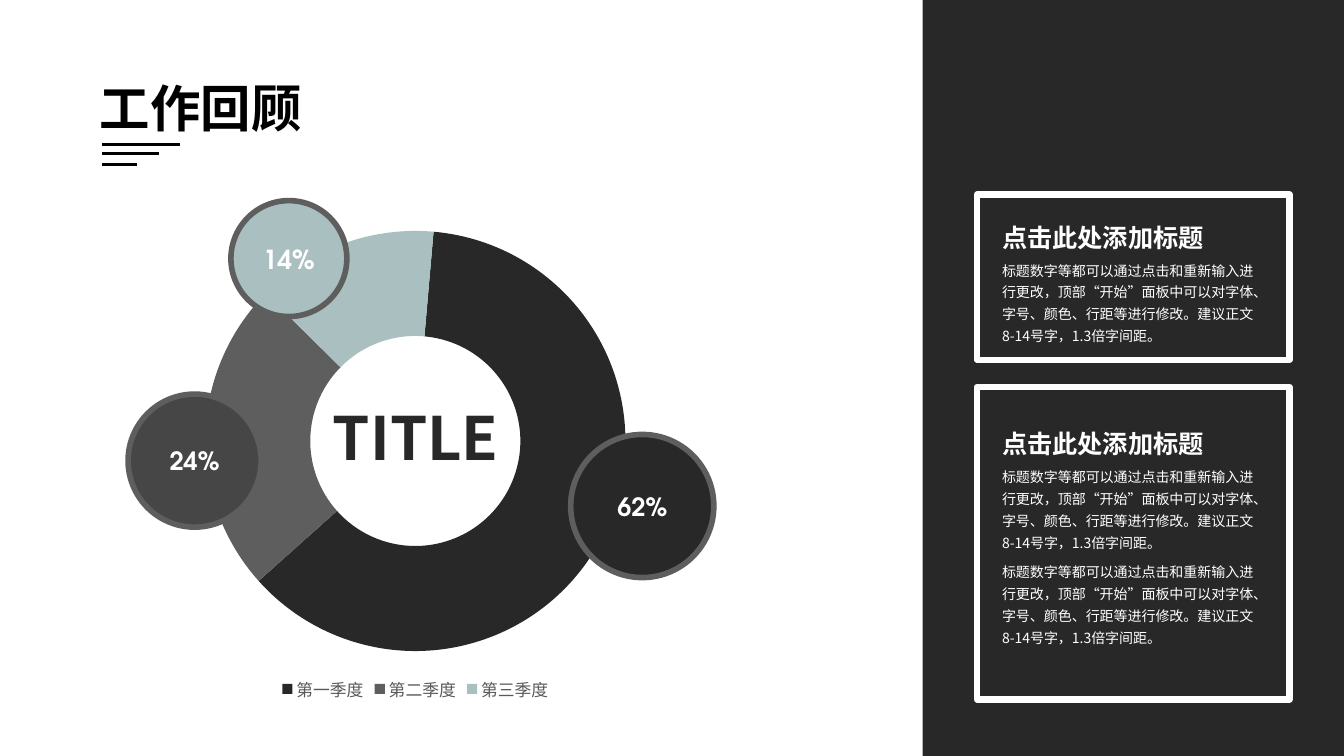
from lxml import etree
from pptx import Presentation
from pptx.chart.data import CategoryChartData
from pptx.dml.color import RGBColor
from pptx.enum.chart import XL_CHART_TYPE, XL_LEGEND_POSITION
from pptx.enum.shapes import MSO_CONNECTOR, MSO_SHAPE
from pptx.enum.text import MSO_ANCHOR, PP_ALIGN
from pptx.oxml import parse_xml
from pptx.oxml.ns import nsdecls, qn
from pptx.util import Inches, Pt

RECT, OVAL = MSO_SHAPE.RECTANGLE, MSO_SHAPE.OVAL
LEFT, CENTER = PP_ALIGN.LEFT, PP_ALIGN.CENTER
BLACK = RGBColor(0x00, 0x00, 0x00)
WHITE = RGBColor(0xFF, 0xFF, 0xFF)
DARK = RGBColor(0x28, 0x28, 0x28)
CHARCOAL = RGBColor(0x46, 0x46, 0x46)
GRAY = RGBColor(0x5E, 0x5E, 0x5E)
LEGEND_GRAY = RGBColor(0x59, 0x59, 0x59)
TEAL = RGBColor(0xAA, 0xBF, 0xC0)
HEAD_FONT, BODY_FONT = "TeX Gyre Adventor", "Noto Sans CJK SC"
HEADING = "点击此处添加标题"
BODY = ("标题数字等都可以通过点击和重新输入进行更改，顶部“开始”面板中可以对字体、"
        "字号、颜色、行距等进行修改。建议正文8-14号字，1.3倍字间距。")


def write(shape, text, size, font, color, bold=True, align=LEFT, spacing=None, wrap=True):
    tf = shape.text_frame
    tf.word_wrap = wrap
    p = tf.paragraphs[0]
    p.alignment = align
    p.line_spacing = spacing
    r = p.add_run()
    r.text = text
    for name, value in {"size": Pt(size), "name": font, "bold": bold}.items():
        setattr(r.font, name, value)
    r.font.color.rgb = color
    ea = etree.SubElement(r.font._element, qn("a:ea"))
    ea.set("typeface", BODY_FONT)


def add_shape(kind, x, y, w, h, fill=None, line=None, width=0):
    sp = s.shapes.add_shape(kind, Inches(x), Inches(y), Inches(w), Inches(h))
    sp.shadow.inherit = False
    if fill is None:
        sp.fill.background()
    else:
        sp.fill.solid()
        sp.fill.fore_color.rgb = fill
    if line is None:
        sp.line.fill.background()
    else:
        sp.line.color.rgb = line
        sp.line.width = Pt(width)
    return sp


prs = Presentation()
prs.slide_width, prs.slide_height = Inches(13.33), Inches(7.5)
s = prs.slides.add_slide(prs.slide_layouts[5])

# Title and its underlines
title = s.shapes.title
title.left, title.top, title.width, title.height = map(Inches, (0.89, 0.78, 3.94, 0.65))
title.text_frame.vertical_anchor = MSO_ANCHOR.TOP
write(title, "工作回顾", 36, HEAD_FONT, BLACK, spacing=0.9)

for y, length in ((1.43, 0.78), (1.52, 0.57), (1.63, 0.35)):
    rule = s.shapes.add_connector(MSO_CONNECTOR.STRAIGHT, Inches(1.01), Inches(y),
                                  Inches(1.01 + length), Inches(y))
    rule.line.color.rgb = BLACK
    rule.line.width = Pt(2.25)
    etree.SubElement(rule._element.spPr, qn("a:effectLst"))

# Side panel with two framed notes
add_shape(RECT, 9.15, 0, 4.18, 7.5, DARK)
for frame_y, frame_h, heading_y, body_tops in ((1.93, 1.64, 2.07, [2.5]),
                                               (3.84, 3.1, 4.11, [4.55, 5.49])):
    add_shape(RECT, 9.69, frame_y, 3.1, frame_h, line=WHITE, width=4.5)
    box = s.shapes.add_textbox(Inches(9.84), Inches(heading_y), Inches(2.22), Inches(0.46))
    write(box, HEADING, 18, HEAD_FONT, WHITE, spacing=1.3, wrap=False)
    for y in body_tops:
        box = s.shapes.add_textbox(Inches(9.84), Inches(y), Inches(2.8), Inches(0.98))
        write(box, BODY, 10, BODY_FONT, WHITE, bold=False, spacing=1.3)

# Doughnut chart
data = CategoryChartData()
data.categories = ["第一季度", "第二季度", "第三季度"]
data.add_series("Series 1", (62, 24, 14))
chart = s.shapes.add_chart(XL_CHART_TYPE.DOUGHNUT, Inches(0.26), Inches(2.14),
                           Inches(7.72), Inches(4.86), data).chart
chart.has_title = False
chart.font.size, chart.font.name = Pt(10), HEAD_FONT
chart.font.color.rgb = BLACK
chart.has_legend = True
legend = chart.legend
legend.position = XL_LEGEND_POSITION.BOTTOM
legend.include_in_layout = False
legend.font.size, legend.font.name = Pt(12), BODY_FONT
legend.font.color.rgb = LEGEND_GRAY
plot = chart.plots[0]
plot.vary_by_categories = True
for i, color in enumerate((DARK, GRAY, TEAL)):
    fmt = plot.series[0].points[i].format
    fmt.fill.solid()
    fmt.fill.fore_color.rgb = color
    fmt.line.fill.background()
doughnut = plot._element
doughnut.find(qn("c:firstSliceAng")).set("val", "5")
doughnut.find(qn("c:holeSize")).set("val", "64")
plot_area = doughnut.getparent()
for old in plot_area.findall(qn("c:layout")):
    plot_area.remove(old)
plot_area.insert(0, parse_xml(
    f'<c:layout {nsdecls("c")}><c:manualLayout><c:layoutTarget val="inner"/>'
    '<c:xMode val="edge"/><c:yMode val="edge"/><c:x val="0.23"/><c:y val="0.03"/>'
    '<c:w val="0.54"/><c:h val="0.86"/></c:manualLayout></c:layout>'))

# Percentage bubbles and centre label
for text, x, y, d, fill, size in (("62%", 5.66, 4.31, 1.42, DARK, 18),
                                  ("24%", 1.27, 3.91, 1.32, CHARCOAL, 18),
                                  ("14%", 2.29, 1.99, 1.15, TEAL, 18.7)):
    bubble = add_shape(OVAL, x, y, d, d, fill, GRAY, 4)
    bubble.text_frame.vertical_anchor = MSO_ANCHOR.MIDDLE
    write(bubble, text, size, HEAD_FONT, WHITE, align=CENTER)

box = s.shapes.add_textbox(Inches(3.01), Inches(3.93), Inches(2.23), Inches(0.82))
write(box, "TITLE", 42.7, BODY_FONT, DARK, align=CENTER)

prs.save("out.pptx")
